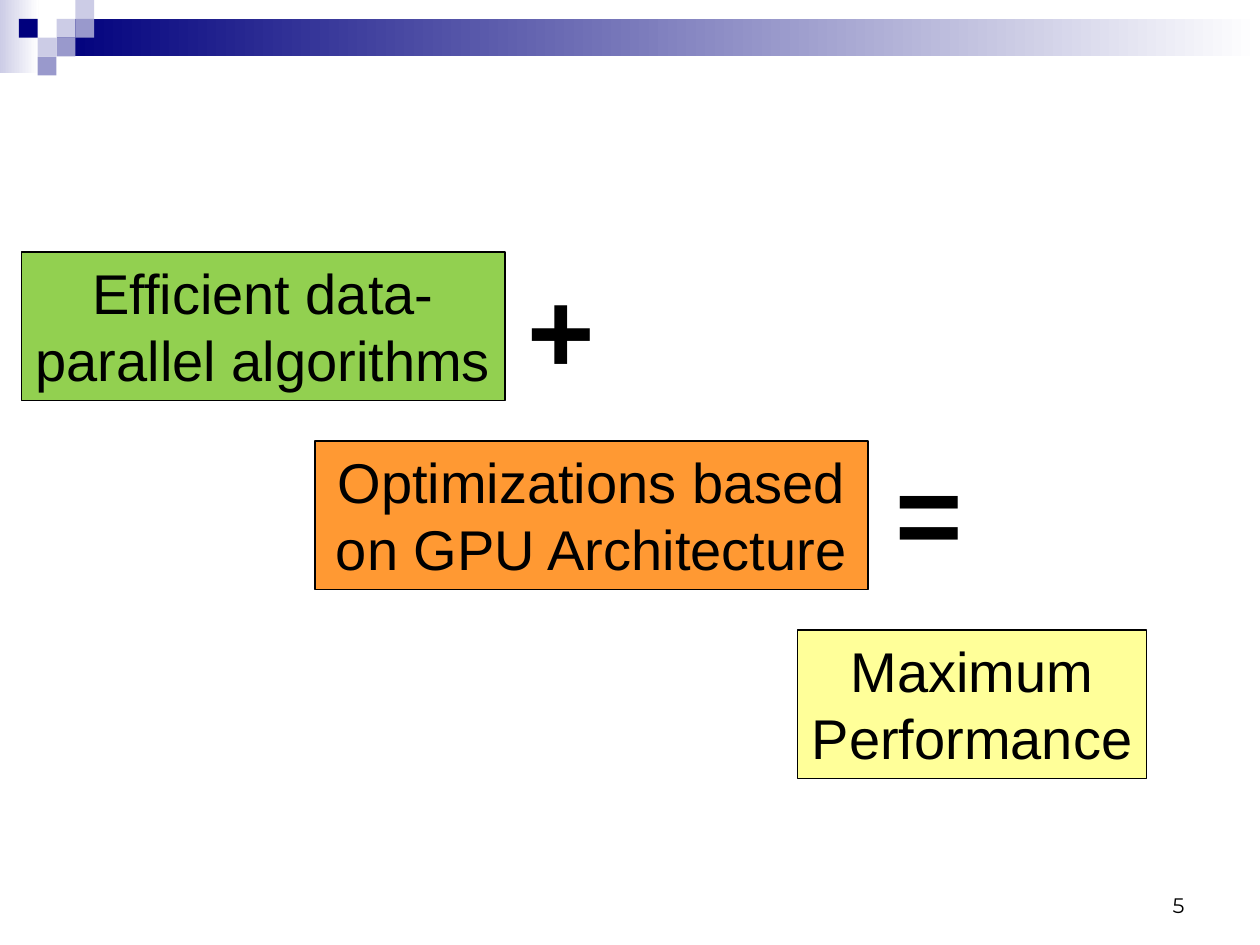
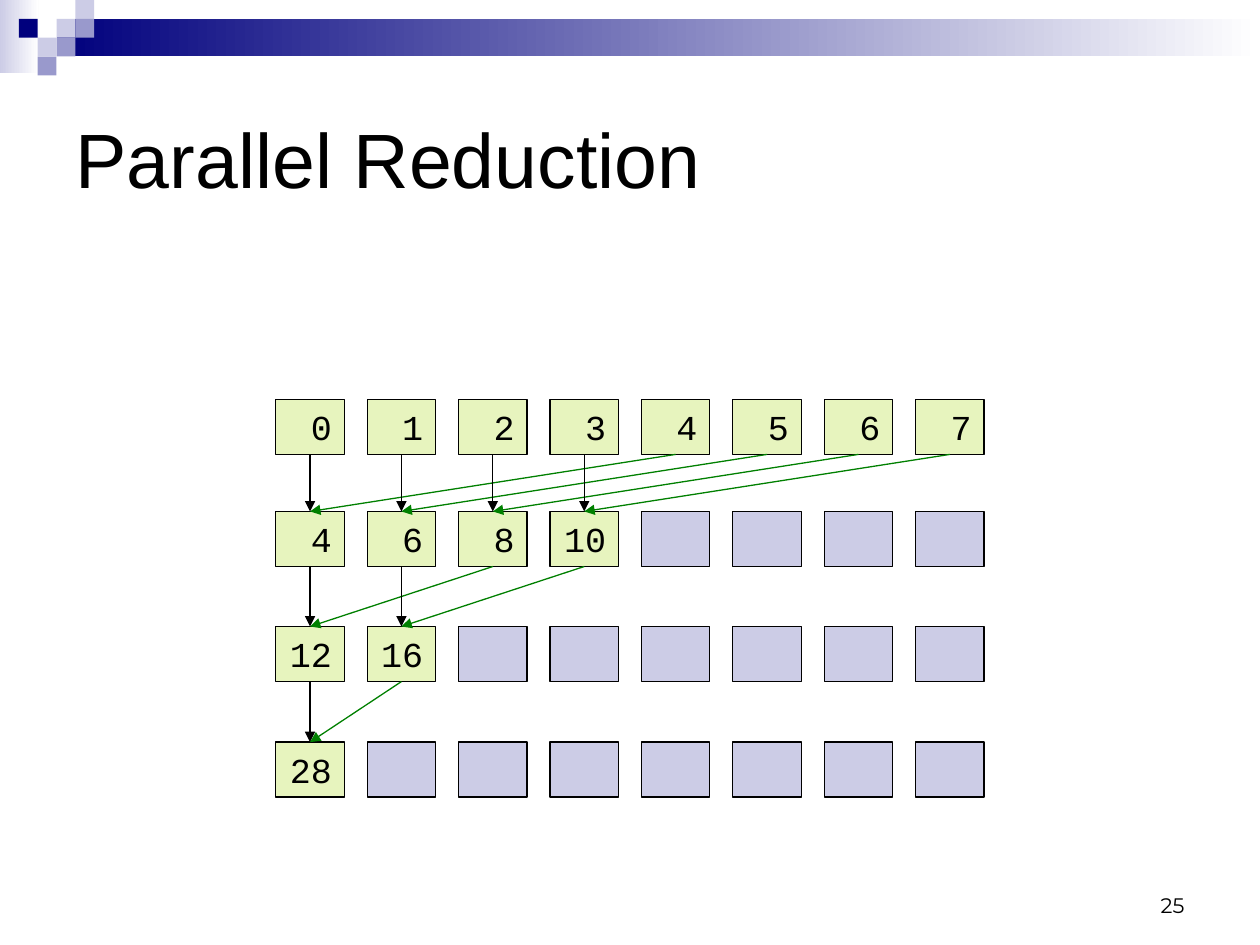
"""Build two slides on parallel reduction for GPUs."""

from dataclasses import dataclass
from itertools import product

from lxml.etree import SubElement
from pptx import Presentation
from pptx.dml.color import RGBColor
from pptx.enum.shapes import MSO_CONNECTOR, MSO_SHAPE
from pptx.enum.text import MSO_ANCHOR, MSO_AUTO_SIZE, PP_ALIGN
from pptx.oxml.ns import qn
from pptx.shapes.autoshape import Shape
from pptx.slide import Slide
from pptx.text.text import TextFrame
from pptx.util import Cm, Pt


@dataclass(frozen=True)
class Theme:
    black: str = "000000"
    white: str = "FFFFFF"
    navy: str = "00007D"
    mid: str = "9999CC"
    pale: str = "CCCCE6"
    lime: str = "E7F4BE"
    green: str = "92D050"
    orange: str = "FF9933"
    yellow: str = "FFFF99"
    arrow: str = "008000"
    sans: str = "Arial"
    mono: str = "Courier New"
    foot: str = "Montserrat"
    title: int = 44
    sign: int = 66
    body: int = 32
    cell: int = 20
    note: int = 12
    line: float = 0.75


@dataclass(frozen=True)
class Box:
    left: float
    top: float
    width: float
    height: float
    fill: str
    fade: bool = False
    edge: bool = False
    text: str = ""


@dataclass(frozen=True)
class Sign:
    text: str
    left: float
    top: float


THEME = Theme()
TILE = 0.38

BANDS = [
    Box(0, 0, 0.78, 1.48, THEME.pale, fade=True),
    Box(1.14, 0.38, 24.26, 0.76, THEME.navy, fade=True),
]
TILES = [
    (3, 1, THEME.pale),
    (4, 0, THEME.pale),
    (4, 1, THEME.mid),
    (2, 2, THEME.pale),
    (1, 1, THEME.navy),
    (3, 2, THEME.mid),
    (2, 3, THEME.mid),
]

TERMS = [
    Box(0.43, 5.08, 9.75, 3, THEME.green, edge=True,
        text="Efficient data-\nparallel algorithms"),
    Box(6.35, 8.89, 11.15, 3, THEME.orange, edge=True,
        text="Optimizations based\non GPU Architecture"),
    Box(16.08, 12.7, 7.04, 3, THEME.yellow, edge=True,
        text="Maximum\nPerformance"),
]
SIGNS = [Sign("+", 10.39, 5.08), Sign("=", 17.81, 8.76)]

COUNT = 8
CELL_W, CELL_H = 1.38, 1.11
LEFT, PITCH = 5.56, 12.9 / 7
TOPS = [8.05, 10.31, 12.63, 14.96]
SUMS = [range(COUNT), [4, 6, 8, 10], [12, 16], [28]]


def write(frame: TextFrame, text: str, *, size: int, font: str = THEME.sans,
          bold: bool = False, align: PP_ALIGN = PP_ALIGN.LEFT,
          anchor: MSO_ANCHOR = MSO_ANCHOR.TOP, wrap: bool = True) -> None:
    """Fill a text frame and format each paragraph."""
    frame.text = text
    frame.word_wrap = wrap
    frame.auto_size = MSO_AUTO_SIZE.NONE
    frame.vertical_anchor = anchor
    for para in frame.paragraphs:
        para.alignment = align
        para.font.size = Pt(size)
        para.font.name = font
        para.font.bold = bold
        para.font.color.rgb = RGBColor.from_string(THEME.black)


def draw_box(slide: Slide, box: Box) -> Shape:
    """Draw a plain, faded or edged box."""
    shape = slide.shapes.add_shape(
        MSO_SHAPE.RECTANGLE, Cm(box.left), Cm(box.top), Cm(box.width), Cm(box.height))
    shape.shadow.inherit = False
    if box.fade:
        shape.fill.gradient()
        shape.fill.gradient_angle = 0
        for stop, tint in zip(shape.fill.gradient_stops, (box.fill, THEME.white)):
            stop.color.rgb = RGBColor.from_string(tint)
    else:
        shape.fill.solid()
        shape.fill.fore_color.rgb = RGBColor.from_string(box.fill)
    if box.edge:
        shape.line.color.rgb = RGBColor.from_string(THEME.black)
        shape.line.width = Pt(THEME.line)
    else:
        shape.line.fill.background()
    return shape


def draw_arrow(slide: Slide, start: tuple[float, float], end: tuple[float, float],
               tint: str) -> None:
    """Draw a thin line with an arrowhead at its end."""
    line = slide.shapes.add_connector(
        MSO_CONNECTOR.STRAIGHT, *(Cm(value) for value in (*start, *end)))
    line.line.color.rgb = RGBColor.from_string(tint)
    line.line.width = Pt(THEME.line)
    props = line.element.spPr
    SubElement(props.find(qn("a:ln")), qn("a:tailEnd"), type="triangle")
    SubElement(props, qn("a:effectLst"))


def draw_frame(slide: Slide, number: int) -> None:
    """Draw the top band, its tiles and the slide number."""
    tiles = [Box(col * TILE, row * TILE, TILE, TILE, tint) for col, row, tint in TILES]
    for box in BANDS + tiles:
        draw_box(slide, box)
    label = slide.shapes.add_textbox(Cm(18.21), Cm(17.35), Cm(5.92), Cm(1.27))
    write(label.text_frame, str(number), size=THEME.note, font=THEME.foot,
          align=PP_ALIGN.RIGHT, anchor=MSO_ANCHOR.BOTTOM)


def draw_terms(slide: Slide) -> None:
    """Draw the sum of ideas as boxes and signs."""
    for box in TERMS:
        write(draw_box(slide, box).text_frame, box.text, size=THEME.body,
              align=PP_ALIGN.CENTER, wrap=False)
    for sign in SIGNS:
        label = slide.shapes.add_textbox(Cm(sign.left), Cm(sign.top), Cm(1.88), Cm(3.07))
        write(label.text_frame, sign.text, size=THEME.sign, bold=True, wrap=False)


def draw_tree(slide: Slide) -> None:
    """Draw the rows of sums and the arrows between them."""
    for (top, sums), col in product(zip(TOPS, SUMS), range(COUNT)):
        live = col < len(sums)
        cell = draw_box(slide, Box(LEFT + col * PITCH, top, CELL_W, CELL_H,
                                   THEME.lime if live else THEME.pale, edge=True))
        if live:
            write(cell.text_frame, str(sums[col]), size=THEME.cell, font=THEME.mono,
                  align=PP_ALIGN.RIGHT)

    mids = [LEFT + col * PITCH + CELL_W / 2 for col in range(COUNT)]
    for top, below, sums in zip(TOPS, TOPS[1:], SUMS[1:]):
        for col in range(len(sums)):
            for source, tint in ((col, THEME.black), (col + len(sums), THEME.arrow)):
                draw_arrow(slide, (mids[source], top + CELL_H), (mids[col], below), tint)


def main() -> None:
    """Build and save the slides."""
    deck = Presentation()
    deck.slide_width, deck.slide_height = Cm(25.4), Cm(19.05)

    terms = deck.slides.add_slide(deck.slide_layouts.get_by_name("Blank"))
    draw_frame(terms, 5)
    draw_terms(terms)

    tree = deck.slides.add_slide(deck.slide_layouts.get_by_name("Title Only"))
    draw_frame(tree, 25)
    title = tree.shapes.title
    title.left, title.top = Cm(1.27), Cm(1.27)
    title.width, title.height = Cm(22.86), Cm(3.81)
    write(title.text_frame, "Parallel Reduction", size=THEME.title,
          anchor=MSO_ANCHOR.MIDDLE)
    draw_tree(tree)

    deck.save("out.pptx")


if __name__ == "__main__":
    main()
